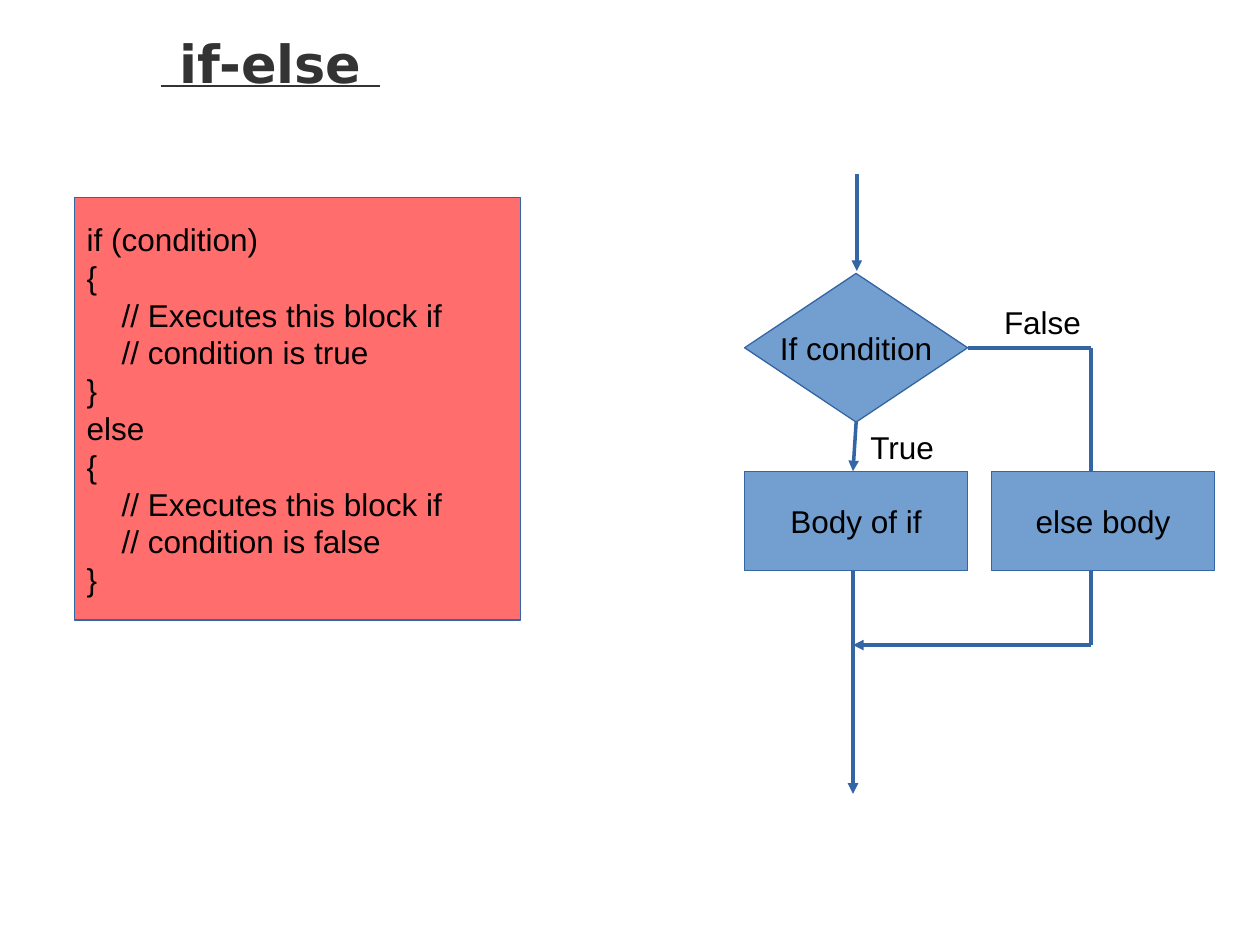
from dataclasses import dataclass

from lxml import etree
from pptx import Presentation
from pptx import util as u
from pptx.dml.color import RGBColor
from pptx.enum import shapes, text
from pptx.oxml.ns import qn

PX = 9144  # one px is 1/100 inch
BLUE, EDGE, RED, BLACK = "729FCF", "3465A4", "FF6D6D", "000000"
RECT = shapes.MSO_SHAPE.RECTANGLE
DIAMOND = shapes.MSO_SHAPE.DIAMOND
LEFT, MID = text.PP_ALIGN.LEFT, text.PP_ALIGN.CENTER

CODE = """if (condition)
{
    // Executes this block if
    // condition is true
}
else
{
    // Executes this block if
    // condition is false
}"""


@dataclass
class Box:
    words: str
    x: int
    y: int
    w: int
    h: int
    kind: int = RECT
    fill: str = BLUE
    align: int = MID


@dataclass
class Line:
    x1: int
    y1: int
    x2: int
    y2: int
    arrow: bool = True


def color(code: str) -> RGBColor:
    return RGBColor.from_string(code)


def place(*nums: int) -> list:
    return [u.Emu(n * PX) for n in nums]


def write(frame, words: str, align: int) -> None:
    frame.word_wrap = False
    frame.text = words
    for par in frame.paragraphs:
        par.alignment = align
        for run in par.runs:
            run.font.name, run.font.size = "Arial", u.Pt(18)
            run.font.color.rgb = color(BLACK)


def add_box(slide, box: Box):
    shape = slide.shapes.add_shape(box.kind, *place(box.x, box.y, box.w, box.h))
    shape.shadow.inherit = False
    shape.fill.solid()
    shape.fill.fore_color.rgb = color(box.fill)
    shape.line.color.rgb = color(EDGE)
    shape.line.width = u.Pt(0)
    shape.text_frame.vertical_anchor = text.MSO_ANCHOR.MIDDLE
    write(shape.text_frame, box.words, box.align)
    return shape


def add_line(slide, line: Line):
    link = slide.shapes.add_connector(
        shapes.MSO_CONNECTOR.STRAIGHT, *place(line.x1, line.y1, line.x2, line.y2))
    link.line.color.rgb = color(EDGE)
    link.line.width = u.Pt(0)
    if line.arrow:
        etree.SubElement(link.line._get_or_add_ln(), qn("a:tailEnd"), type="triangle")
    etree.SubElement(link._element.spPr, qn("a:effectLst"))
    return link


def add_label(slide, words: str, x: int, y: int, w: int) -> None:
    label = slide.shapes.add_textbox(*place(x, y, w, 40))
    write(label.text_frame, words, LEFT)


def add_title(slide, words: str) -> None:
    title = slide.shapes.title
    title.left, title.top, title.width, title.height = place(118, 20, 900, 125)
    frame = title.text_frame
    frame.text = words
    frame.auto_size = text.MSO_AUTO_SIZE.NONE
    frame.vertical_anchor = text.MSO_ANCHOR.TOP
    frame.paragraphs[0].alignment = LEFT
    font = frame.paragraphs[0].runs[0].font
    font.name, font.size = "DejaVu Sans", u.Pt(30)
    font.bold = font.underline = True
    font.color.rgb = color("333333")


def main() -> None:
    deck = Presentation()
    deck.slide_width, deck.slide_height = place(1000, 750)
    slide = deck.slides.add_slide(deck.slide_layouts[5])
    add_title(slide, " if-else ")

    # Code panel
    add_box(slide, Box(CODE, 59, 157, 354, 335, fill=RED, align=LEFT))

    # Test and its true branch
    test = add_box(slide, Box("If condition", 591, 217, 177, 118, DIAMOND))
    add_box(slide, Box("Body of if", 591, 374, 177, 79))
    add_line(slide, Line(680, 138, 680, 215))
    add_line(slide, Line(679, 335, 677, 374)).begin_connect(test, 2)
    add_line(slide, Line(677, 453, 677, 630))
    add_label(slide, "True", 681, 335, 71)

    # False branch: its long line runs behind the else box
    add_line(slide, Line(768, 276, 866, 276, False)).begin_connect(test, 3)
    add_line(slide, Line(866, 276, 866, 512, False))
    add_label(slide, "False", 787, 236, 81)
    add_box(slide, Box("else body", 787, 374, 177, 79))
    add_line(slide, Line(866, 512, 677, 512))

    deck.save("out.pptx")


if __name__ == "__main__":
    main()
